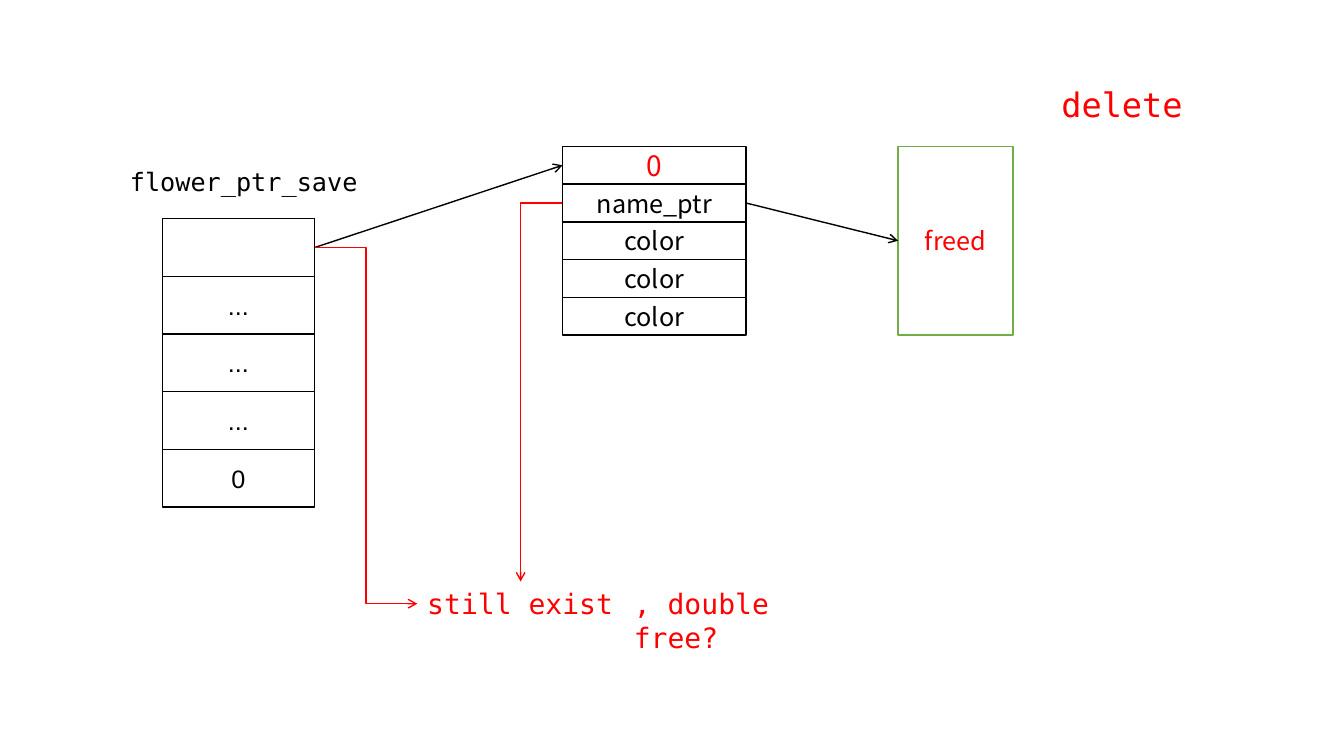
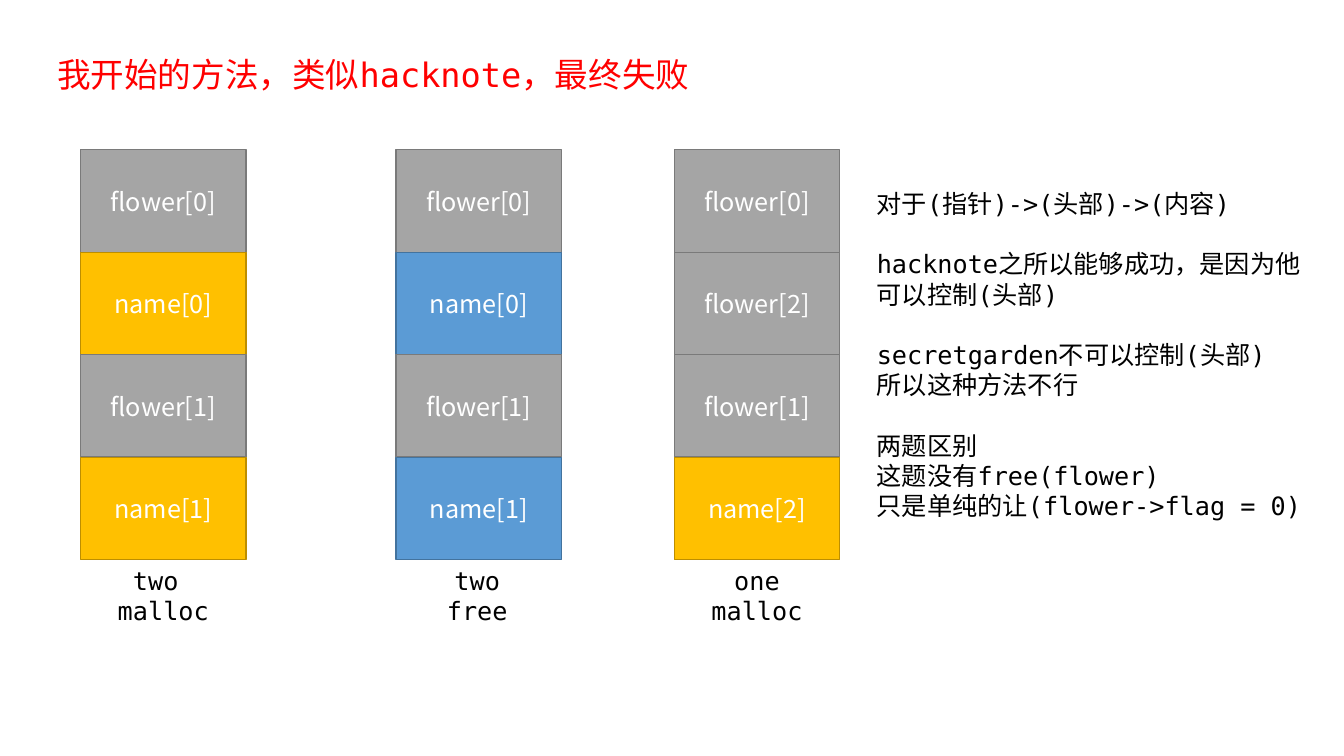
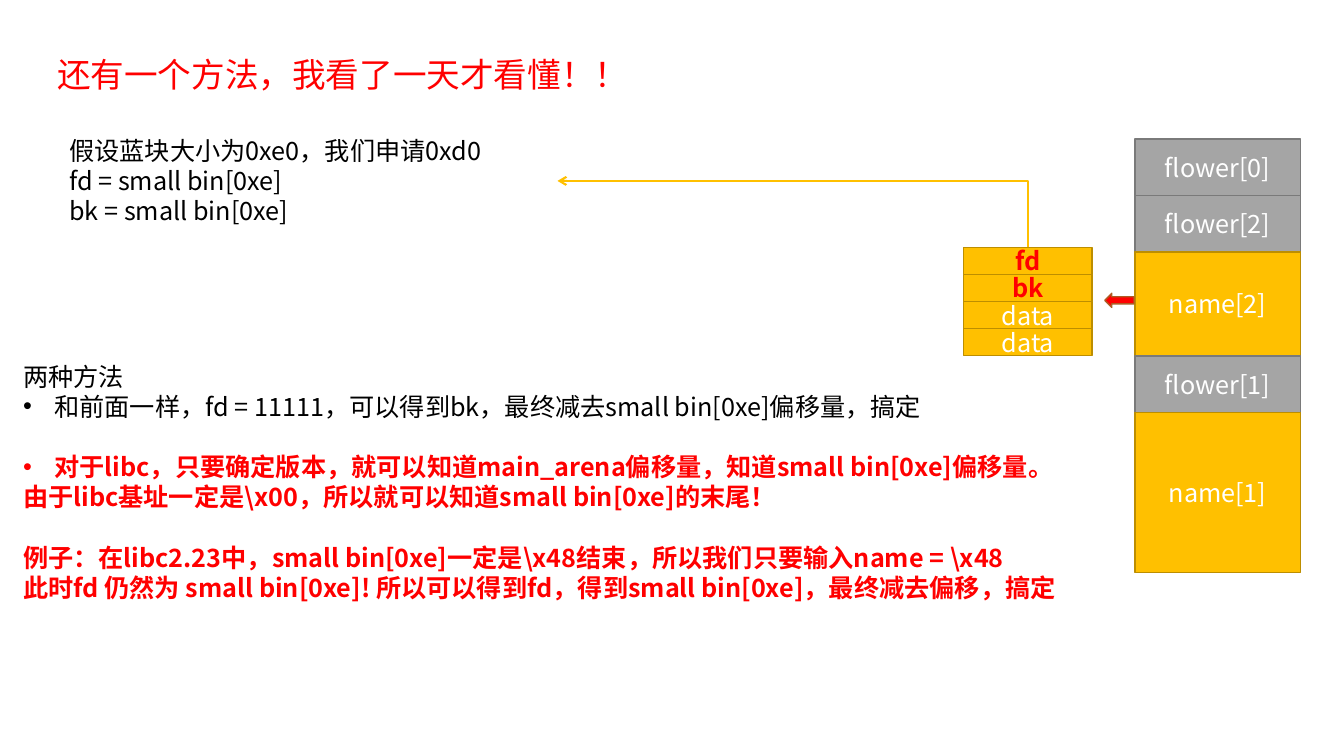
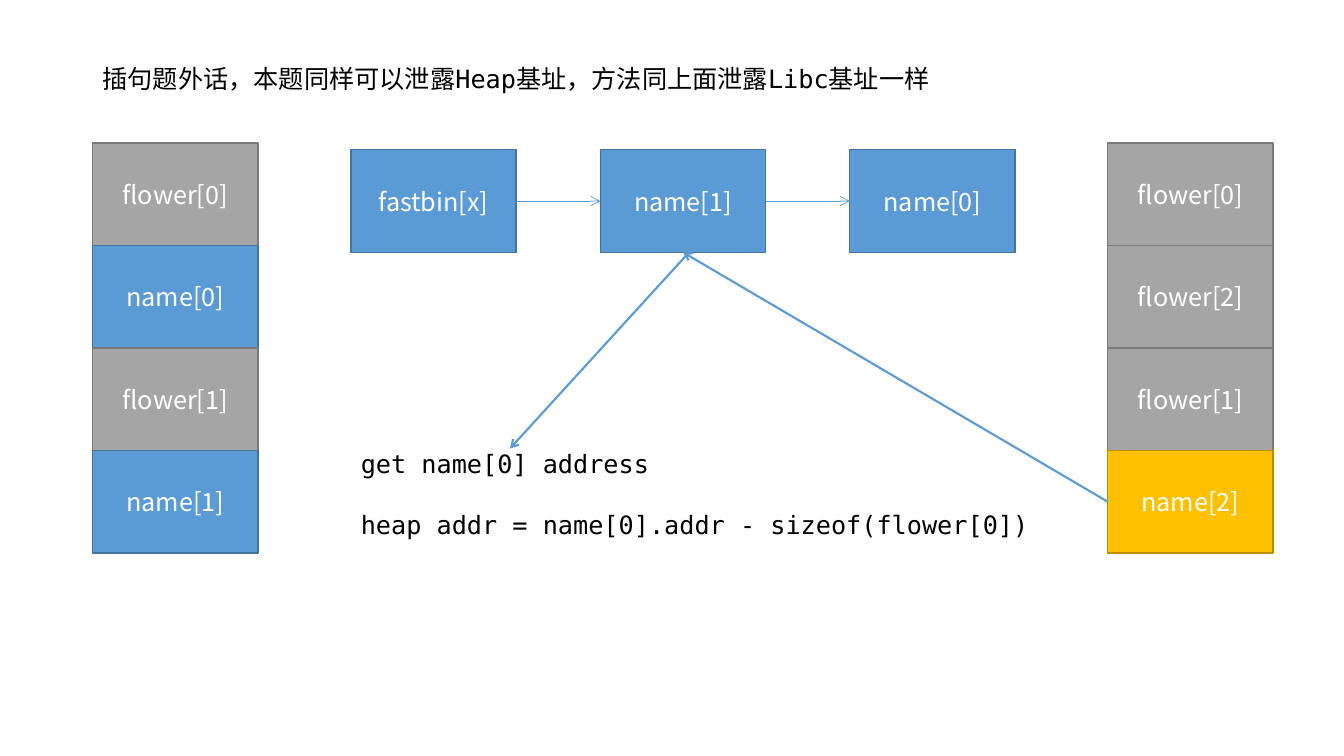
from dataclasses import dataclass
from typing import Optional, Union

import lxml.etree
import pptx
import pptx.dml.color
import pptx.enum.shapes
import pptx.enum.text
import pptx.oxml.ns
import pptx.shapes.autoshape
import pptx.shapes.base
import pptx.slide
import pptx.text.text
import pptx.util

Pt = pptx.util.Pt
qn = pptx.oxml.ns.qn


@dataclass(frozen=True)
class Paint:
    fill: str
    line: str
    text: str


@dataclass(frozen=True)
class Theme:
    black: str = "000000"
    red: str = "FF0000"
    blue: str = "5B9BD5"
    gold: str = "FFC000"
    plain: Paint = Paint("FFFFFF", "000000", "000000")
    cleared: Paint = Paint("FFFFFF", "000000", "FF0000")
    freed: Paint = Paint("FFFFFF", "70AD47", "FF0000")
    header: Paint = Paint("A5A5A5", "7A7A7A", "FFFFFF")
    in_use: Paint = Paint("FFC000", "BD8E00", "FFFFFF")
    leaked: Paint = Paint("FFC000", "BD8E00", "FF0000")
    free: Paint = Paint("5B9BD5", "43739E", "FFFFFF")
    pointer: Paint = Paint("FF0000", "AF5C24", "FFFFFF")
    mono: str = "DejaVu Sans Mono"
    sans: str = "Noto Sans CJK SC"
    arial: str = "Arial"
    body: float = 18
    emphasis: float = 20
    title: float = 24
    leading: float = 1.2
    outline: float = 1
    bullet_indent: float = 22.3


THEME = Theme()
CHUNK_WIDTH = 118.1
CHUNK_HEIGHT = 73.2
TOP, LEFT, BOTTOM, RIGHT = range(4)


@dataclass(frozen=True)
class Box:
    left: float
    top: float
    width: float
    height: float


@dataclass(frozen=True)
class Style:
    font: str = THEME.mono
    size: float = THEME.body
    color: str = THEME.black
    bold: bool = False
    centered: bool = False


@dataclass(frozen=True)
class Line:
    text: str
    gap: bool = False
    bullet: bool = False
    style: Optional[Style] = None


@dataclass(frozen=True)
class Cell:
    text: str
    paint: Paint
    size: float = THEME.body
    font: str = THEME.sans
    bold: bool = False
    height: Optional[float] = None


@dataclass(frozen=True)
class Joint:
    shape: pptx.shapes.base.BaseShape
    side: int


@dataclass(frozen=True)
class Point:
    x: float
    y: float


def rgb(value: str) -> pptx.dml.color.RGBColor:
    return pptx.dml.color.RGBColor.from_string(value)


def write(frame: pptx.text.text.TextFrame, lines: list[Line], default: Style) -> None:
    frame.text = "\n".join(line.text for line in lines)
    for paragraph, line in zip(frame.paragraphs, lines):
        style = line.style or default
        pitch = Pt(style.size * THEME.leading)
        paragraph.line_spacing = pitch
        if style.centered:
            paragraph.alignment = pptx.enum.text.PP_ALIGN.CENTER
        if line.gap:
            paragraph.space_before = pitch
        for run in paragraph.runs:
            run.font.size = Pt(style.size)
            run.font.bold = style.bold
            run.font.color.rgb = rgb(style.color)
            run.font.name = style.font
            east_asian = lxml.etree.SubElement(run.font._element, qn("a:ea"))
            east_asian.set("typeface", THEME.sans)
        if line.bullet:
            properties = paragraph._p.get_or_add_pPr()
            properties.set("marL", str(Pt(THEME.bullet_indent)))
            properties.set("indent", str(-Pt(THEME.bullet_indent)))
            lxml.etree.SubElement(properties, qn("a:buFont")).set("typeface", THEME.arial)
            lxml.etree.SubElement(properties, qn("a:buChar")).set("char", "•")


def add_text(
    slide: pptx.slide.Slide, box: Box, lines: list[Line], style: Style = Style()
) -> pptx.shapes.autoshape.Shape:
    label = slide.shapes.add_textbox(Pt(box.left), Pt(box.top), Pt(box.width), Pt(box.height))
    label.text_frame.word_wrap = True
    write(label.text_frame, lines, style)
    return label


def add_title(slide: pptx.slide.Slide, text: str) -> None:
    add_text(
        slide, Box(33.8, 35.3, 602.6, 36), [Line(text)], Style(size=THEME.title, color=THEME.red)
    )


def add_block(
    slide: pptx.slide.Slide,
    box: Box,
    paint: Paint,
    kind: pptx.enum.shapes.MSO_SHAPE = pptx.enum.shapes.MSO_SHAPE.RECTANGLE,
) -> pptx.shapes.autoshape.Shape:
    block = slide.shapes.add_shape(
        kind, Pt(box.left), Pt(box.top), Pt(box.width), Pt(box.height)
    )
    block.shadow.inherit = False
    block.fill.solid()
    block.fill.fore_color.rgb = rgb(paint.fill)
    block.line.color.rgb = rgb(paint.line)
    block.line.width = Pt(THEME.outline)
    return block


def add_cell(slide: pptx.slide.Slide, box: Box, cell: Cell) -> pptx.shapes.autoshape.Shape:
    block = add_block(slide, box, cell.paint)
    block.text_frame.margin_top = block.text_frame.margin_bottom = 0
    if cell.text:
        style = Style(cell.font, cell.size, cell.paint.text, cell.bold, centered=True)
        write(block.text_frame, [Line(cell.text)], style)
    return block


def add_stack(
    slide: pptx.slide.Slide, first: Box, cells: list[Cell]
) -> list[pptx.shapes.autoshape.Shape]:
    blocks = []
    top = first.top
    for cell in cells:
        height = cell.height or first.height
        blocks.append(add_cell(slide, Box(first.left, top, first.width, height), cell))
        top += height
    return blocks


def add_chunks(
    slide: pptx.slide.Slide, left: float, top: float, cells: list[Cell]
) -> list[pptx.shapes.autoshape.Shape]:
    return add_stack(slide, Box(left, top, CHUNK_WIDTH, CHUNK_HEIGHT), cells)


def connect(
    slide: pptx.slide.Slide,
    start: Union[Joint, Point],
    end: Union[Joint, Point],
    color: str,
    width: float = THEME.outline,
    route: str = "line",
    arrow: str = "tailEnd",
) -> None:
    kinds = pptx.enum.shapes.MSO_CONNECTOR
    connector = slide.shapes.add_connector(
        kinds.STRAIGHT if route == "line" else kinds.ELBOW, 0, 0, 0, 0
    )
    if isinstance(start, Joint):
        connector.begin_connect(start.shape, start.side)
    else:
        connector.begin_x, connector.begin_y = Pt(start.x), Pt(start.y)
    if isinstance(end, Joint):
        connector.end_connect(end.shape, end.side)
    else:
        connector.end_x, connector.end_y = Pt(end.x), Pt(end.y)
    connector.line.color.rgb = rgb(color)
    connector.line.width = Pt(width)
    properties = connector.element.spPr
    properties.find(qn("a:prstGeom")).set("prst", route)
    lxml.etree.SubElement(properties.find(qn("a:ln")), qn(f"a:{arrow}")).set("type", "arrow")
    lxml.etree.SubElement(properties, qn("a:effectLst"))


def flower(index: int, height: Optional[float] = None) -> Cell:
    return Cell(f"flower[{index}]", THEME.header, height=height)


def name(index: int, paint: Paint, height: Optional[float] = None) -> Cell:
    return Cell(f"name[{index}]", paint, height=height)


def build_delete(slide: pptx.slide.Slide) -> None:
    saved = add_stack(
        slide,
        Box(115.9, 156.2, 108.9, 41.2),
        [Cell(text, THEME.plain, font=THEME.arial) for text in ("", "...", "...", "...", "0")],
    )
    add_text(slide, Box(85.7, 115.2, 185.8, 28.8), [Line("flower_ptr_save")])
    fields = add_stack(
        slide,
        Box(401.8, 104.6, 131.2, 26.95),
        [Cell("0", THEME.cleared, THEME.emphasis)]
        + [Cell(text, THEME.plain) for text in ("name_ptr", "color", "color", "color")],
    )
    freed = add_cell(slide, Box(641.5, 104.6, 82.1, 134.7), Cell("freed", THEME.freed))
    connect(slide, Joint(saved[0], RIGHT), Joint(fields[0], LEFT), THEME.black)
    connect(slide, Joint(fields[1], RIGHT), Joint(freed, LEFT), THEME.black)
    add_text(
        slide,
        Box(751, 56.2, 164.9, 36),
        [Line("delete")],
        Style(size=THEME.title, color=THEME.red),
    )
    warning = Style(size=THEME.emphasis, color=THEME.red)
    still_exist = add_text(
        slide, Box(298.1, 415.4, 147.6, 31.7), [Line("still exist")], warning
    )
    add_text(slide, Box(445.7, 415.4, 170.6, 31.7), [Line(", double free?")], warning)
    connect(
        slide,
        Joint(saved[0], RIGHT),
        Joint(still_exist, LEFT),
        THEME.red,
        route="bentConnector3",
    )
    connect(
        slide,
        Joint(fields[1], LEFT),
        Joint(still_exist, TOP),
        THEME.red,
        route="bentConnector2",
    )


def build_first_attempt(slide: pptx.slide.Slide) -> None:
    add_title(slide, "我开始的方法，类似hacknote，最终失败")
    captions = [
        (Box(57.6, 400.3, 118.1, 51.1), ["two ", "malloc"]),
        (Box(280.8, 400.3, 120.2, 51.1), ["two", "free"]),
        (Box(481.7, 400.3, 118.1, 51.1), ["one malloc"]),
    ]
    for box, words in captions:
        add_text(slide, box, [Line(word) for word in words], Style(centered=True))
    heaps = [
        (57.6, [flower(0), name(0, THEME.in_use), flower(1), name(1, THEME.in_use)]),
        (283, [flower(0), name(0, THEME.free), flower(1), name(1, THEME.free)]),
        (481.7, [flower(0), flower(2), flower(1), name(2, THEME.in_use)]),
    ]
    for left, cells in heaps:
        add_chunks(slide, left, 107, cells)
    add_text(
        slide,
        Box(619.2, 131, 324.7, 247),
        [
            Line("对于(指针)->(头部)->(内容)"),
            Line("hacknote之所以能够成功，是因为他可以控制(头部)", gap=True),
            Line("secretgarden不可以控制(头部)", gap=True),
            Line("所以这种方法不行"),
            Line("两题区别", gap=True),
            Line("这题没有free(flower)"),
            Line("只是单纯的让(flower->flag = 0)"),
        ],
    )


def build_libc_leak(slide: pptx.slide.Slide) -> None:
    plain = Style(font=THEME.sans)
    strong = Style(font=THEME.sans, color=THEME.red, bold=True)
    assumption = add_text(
        slide,
        Box(42.5, 92.9, 355.7, 72.7),
        [
            Line("假设蓝块大小为0xe0，我们申请0xd0"),
            Line("fd = small bin[0xe]"),
            Line("bk = small bin[0xe]"),
        ],
        plain,
    )
    add_title(slide, "还有一个方法，我看了一天才看懂！！")
    add_stack(
        slide,
        Box(810.7, 99.4, CHUNK_WIDTH, 40.3),
        [
            flower(0),
            flower(2),
            name(2, THEME.in_use, 74.2),
            flower(1),
            name(1, THEME.in_use, 114.5),
        ],
    )
    fields = add_stack(
        slide,
        Box(688.3, 176.6, 91.8, 19.4),
        [Cell(text, THEME.leaked, bold=True) for text in ("fd", "bk")]
        + [Cell("data", THEME.in_use)] * 2,
    )
    add_block(
        slide,
        Box(789.1, 209.5, 20.9, 10.1),
        THEME.pointer,
        pptx.enum.shapes.MSO_SHAPE.LEFT_ARROW,
    )
    connect(
        slide,
        Joint(assumption, RIGHT),
        Joint(fields[0], TOP),
        THEME.gold,
        1.5,
        "bentConnector2",
        "headEnd",
    )
    add_text(
        slide,
        Box(9.4, 254.2, 830.2, 203.8),
        [
            Line("两种方法"),
            Line(
                "和前面一样，fd = 11111，可以得到bk，最终减去small bin[0xe]偏移量，搞定",
                bullet=True,
            ),
            Line(
                "对于libc，只要确定版本，就可以知道main_arena偏移量，知道small bin[0xe]偏移量。",
                gap=True,
                bullet=True,
                style=strong,
            ),
            Line(
                r"由于libc基址一定是\x00，所以就可以知道small bin[0xe]的末尾！", style=strong
            ),
            Line(
                r"例子：在libc2.23中，small bin[0xe]一定是\x48结束，所以我们只要输入name = \x48",
                gap=True,
                style=strong,
            ),
            Line(
                "此时fd 仍然为 small bin[0xe]! 所以可以得到fd，得到small bin[0xe]，最终减去偏移，搞定",
                style=strong,
            ),
        ],
        plain,
    )


def build_heap_leak(slide: pptx.slide.Slide) -> None:
    add_text(
        slide,
        Box(66.2, 41.8, 716.4, 28.8),
        [Line("插句题外话，本题同样可以泄露Heap基址，方法同上面泄露Libc基址一样")],
    )
    add_chunks(
        slide, 66.2, 102.2, [flower(0), name(0, THEME.free), flower(1), name(1, THEME.free)]
    )
    reused = add_chunks(
        slide, 791.3, 102.2, [flower(0), flower(2), flower(1), name(2, THEME.in_use)]
    )
    chain = [
        add_cell(slide, Box(250.6 + 178.2 * i, 107, CHUNK_WIDTH, CHUNK_HEIGHT), cell)
        for i, cell in enumerate(
            [Cell("fastbin[x]", THEME.free), name(1, THEME.free), name(0, THEME.free)]
        )
    ]
    for current, following in zip(chain, chain[1:]):
        connect(slide, Joint(current, RIGHT), Joint(following, LEFT), THEME.blue, 0.5)
    add_text(
        slide,
        Box(250.6, 316.8, 519.1, 72.7),
        [
            Line("get name[0] address"),
            Line("heap addr = name[0].addr - sizeof(flower[0])", gap=True),
        ],
    )
    connect(slide, Joint(reused[-1], LEFT), Joint(chain[1], BOTTOM), THEME.blue, 1.5)
    connect(slide, Point(491.8, 180.7), Point(364.3, 320.4), THEME.blue, 1.5)


def main() -> None:
    deck = pptx.Presentation()
    deck.slide_width, deck.slide_height = Pt(960), Pt(540)
    blank = deck.slide_layouts[6]
    for build in (build_delete, build_first_attempt, build_libc_leak, build_heap_leak):
        build(deck.slides.add_slide(blank))
    deck.save("out.pptx")


if __name__ == "__main__":
    main()
